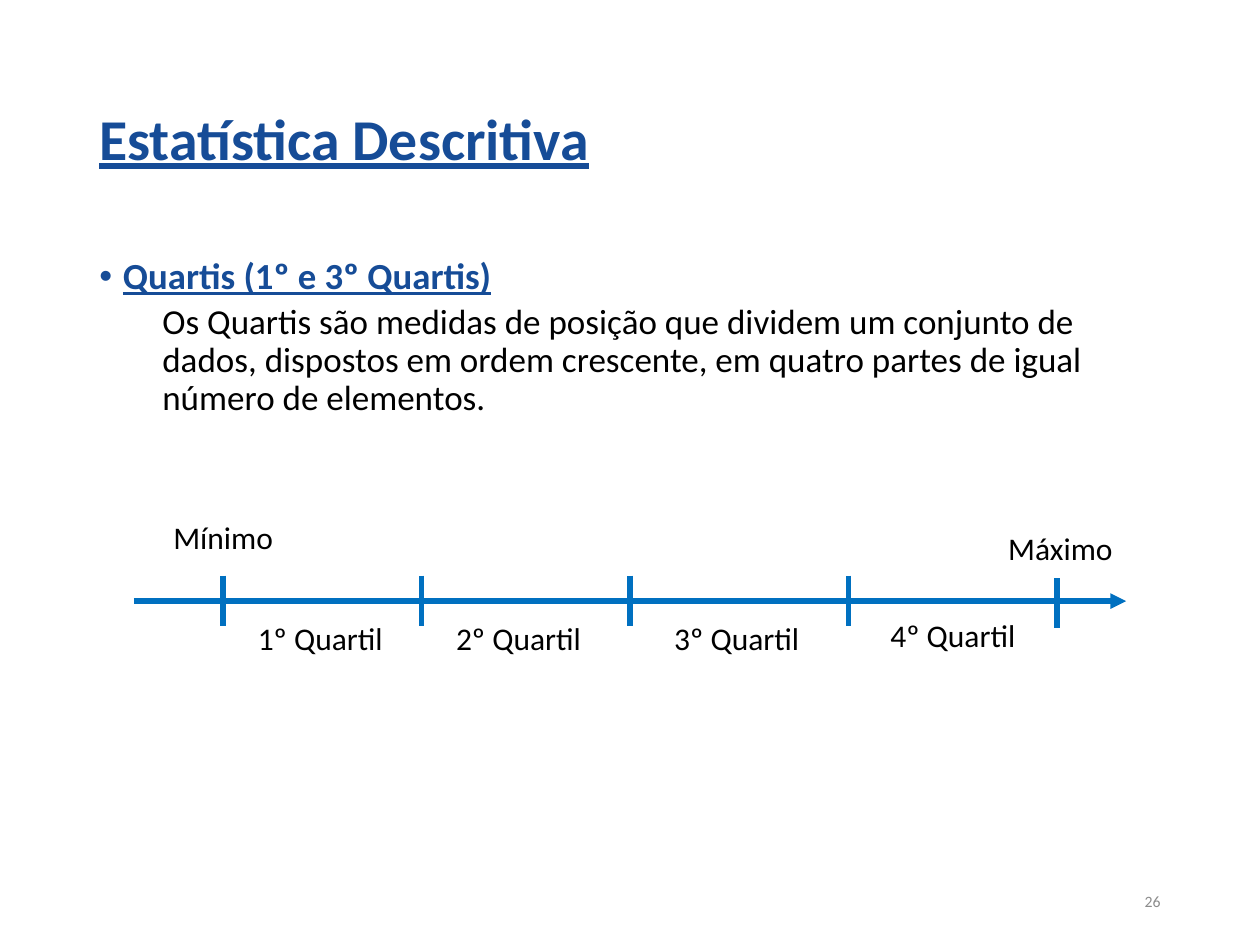
import pptx
import pptx.dml.color
import pptx.enum.shapes
import pptx.enum.text
import pptx.oxml.ns
import pptx.util
from lxml import etree

Pt = pptx.util.Pt
qn = pptx.oxml.ns.qn
ALIGN = pptx.enum.text.PP_ALIGN
ANCHOR = pptx.enum.text.MSO_ANCHOR
COLORS = {"heading": "164C97", "text": "000000", "axis": "0070C0", "number": "8C8C8C"}


class SlideBuilder:
    """Holds the style and the current slide, and draws each kind of element."""

    font = "Calibri"
    line_width = 3

    def __init__(self, slide):
        self.s = slide

    def box(self, left, top, width, height, anchor=ANCHOR.TOP, wrap=True):
        sp = self.s.shapes.add_textbox(Pt(left), Pt(top), Pt(width), Pt(height))
        tf = sp.text_frame
        tf.word_wrap = wrap
        tf.vertical_anchor = anchor
        return tf

    def add_text(self, p, text, size, color, strong=False, align=ALIGN.LEFT, spacing=None):
        p.alignment = align
        p.line_spacing = spacing
        r = p.add_run()
        r.text = text
        r.font.name = self.font
        r.font.size = Pt(size)
        r.font.bold = strong
        r.font.underline = strong
        r.font.color.rgb = pptx.dml.color.RGBColor.from_string(COLORS[color])

    def indent(self, p, margin, first=0, bullet=None):
        pPr = p._p.get_or_add_pPr()
        pPr.set("marL", str(Pt(margin)))
        pPr.set("indent", str(Pt(first)))
        if bullet:
            etree.SubElement(pPr, qn("a:buFont")).set("typeface", "Arial")
            etree.SubElement(pPr, qn("a:buChar")).set("char", bullet)

    def title(self, text):
        tf = self.box(49.7, 28.8, 620.6, 104.4, ANCHOR.MIDDLE)
        self.add_text(tf.paragraphs[0], text, 33, "heading", True, spacing=0.9)

    def body(self, heading, text):
        tf = self.box(49.7, 144, 620.6, 342.7)
        p = tf.paragraphs[0]
        self.indent(p, 13.5, -13.5, "•")
        self.add_text(p, heading, 21, "heading", True, spacing=0.9)
        p = tf.add_paragraph()
        p.level = 1
        self.indent(p, 36)
        p.space_before = Pt(3.75)
        self.add_text(p, text, 20, "text", spacing=0.9)

    def number(self, text):
        tf = self.box(508.3, 500.5, 162, 28.8, ANCHOR.MIDDLE)
        self.add_text(tf.paragraphs[0], text, 9, "number", align=ALIGN.RIGHT)

    def label(self, text, center, top, width=87):
        tf = self.box(center - width / 2, top, width, 29, wrap=False)
        tf.auto_size = pptx.enum.text.MSO_AUTO_SIZE.SHAPE_TO_FIT_TEXT
        self.add_text(tf.paragraphs[0], text, 18, "text", align=ALIGN.CENTER)

    def line(self, x1, y1, x2, y2, arrow=False):
        kind = pptx.enum.shapes.MSO_CONNECTOR.STRAIGHT
        sp = self.s.shapes.add_connector(kind, Pt(x1), Pt(y1), Pt(x2), Pt(y2))
        sp.line.width = Pt(self.line_width)
        sp.line.color.rgb = pptx.dml.color.RGBColor.from_string(COLORS["axis"])
        if arrow:
            etree.SubElement(sp.line._ln, qn("a:tailEnd")).set("type", "triangle")
        etree.SubElement(sp._element.spPr, qn("a:effectLst"))


def main():
    prs = pptx.Presentation()
    prs.slide_width, prs.slide_height = Pt(720), Pt(540)
    s = SlideBuilder(prs.slides.add_slide(prs.slide_layouts[6]))

    s.title("Estatística Descritiva")
    s.body(
        "Quartis (1º e 3º Quartis)",
        "Os Quartis são medidas de posição que dividem um conjunto de dados, "
        "dispostos em ordem crescente, em quatro partes de igual número de elementos.",
    )
    s.number("26")

    s.line(76.5, 343.5, 643.5, 343.5, arrow=True)
    for x, top in ((127.5, 329), (241, 329), (360, 329), (484.7, 329), (604, 330.3)):
        s.line(x, top, x, top + 28.5)

    s.label("Mínimo", 127.5, 292.3, 74)
    s.label("Máximo", 606, 298.8, 75)
    quartiles = ((183, 350), (296.3, 350), (421, 350), (544.5, 348.5))
    for i, (center, top) in enumerate(quartiles, 1):
        s.label(f"{i}º Quartil", center, top)

    prs.save("out.pptx")


if __name__ == "__main__":
    main()
